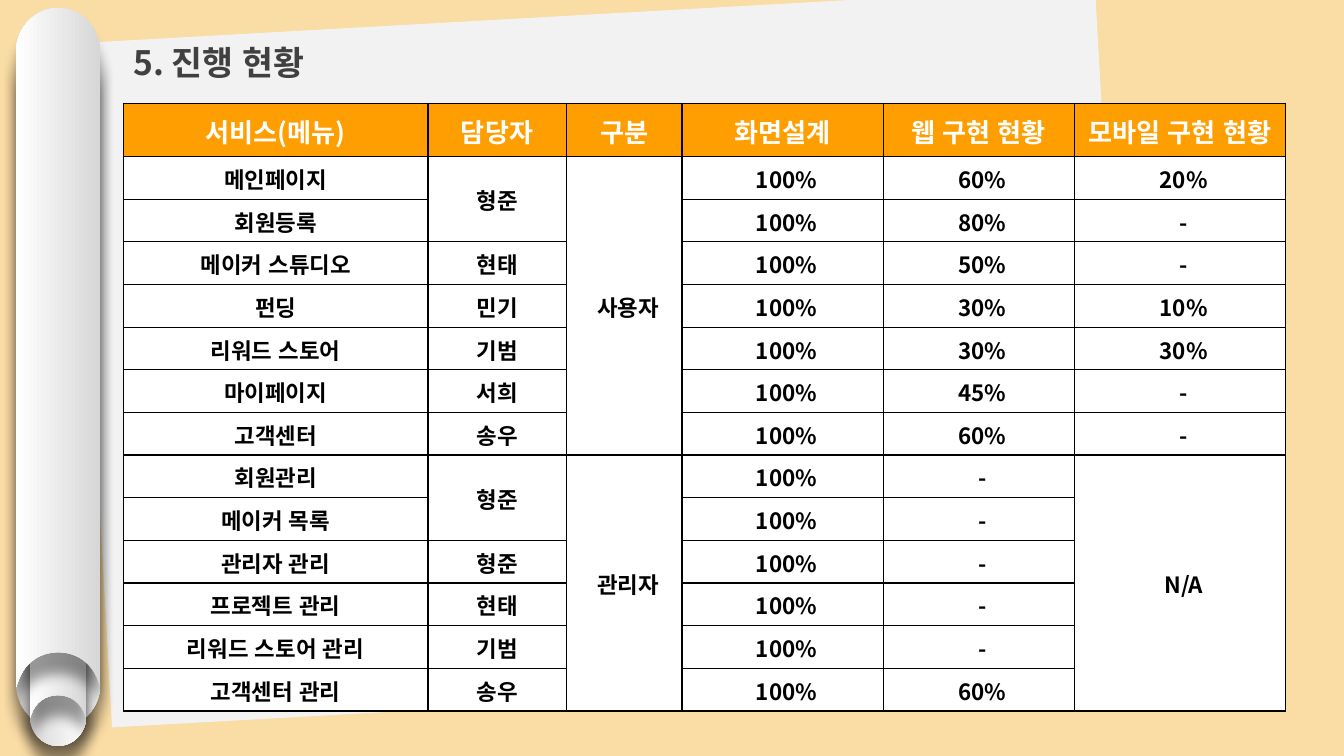
from lxml import etree
from pptx import Presentation
from pptx import util as u
from pptx.dml.color import RGBColor
from pptx.enum import lang, shapes, text
from pptx.oxml import ns

FONT = "Noto Sans CJK KR"
COLORS = {
    "background": "FADCA5",
    "paper": "F2F2F2",
    "scroll_dark": "D7D7D7",
    "scroll_light": "FFFFFF",
    "title": "404040",
    "header": "FF9E00",
    "header_text": "FFFFFF",
    "cell": "FFFFFF",
    "black": "000000",
}
COLUMN_WIDTHS = [5.76, 2.61, 2.19, 3.8, 3.61, 3.99]
HEADER_HEIGHT = 1.01
TABLE_HEIGHT = 11.5
HEADERS = ["서비스(메뉴)", "담당자", "구분", "화면설계", "웹 구현 현황", "모바일 구현 현황"]
PROGRESS = [
    ["메인페이지", "형준", "사용자", "100%", "60%", "20%"],
    ["회원등록", None, None, "100%", "80%", "-"],
    ["메이커 스튜디오", "현태", None, "100%", "50%", "-"],
    ["펀딩", "민기", None, "100%", "30%", "10%"],
    ["리워드 스토어", "기범", None, "100%", "30%", "30%"],
    ["마이페이지", "서희", None, "100%", "45%", "-"],
    ["고객센터", "송우", None, "100%", "60%", "-"],
    ["회원관리", "형준", "관리자", "100%", "-", "N/A"],
    ["메이커 목록", None, None, "100%", "-", None],
    ["관리자 관리", "형준", None, "100%", "-", None],
    ["프로젝트 관리", "현태", None, "100%", "-", None],
    ["리워드 스토어 관리", "기범", None, "100%", "-", None],
    ["고객센터 관리", "송우", None, "100%", "60%", None],
]


def rgb(name):
    return RGBColor.from_string(COLORS[name])


def set_attributes(target, values):
    for name, value in values.items():
        setattr(target, name, value)


def fill_solid(target, color):
    target.fill.solid()
    target.fill.fore_color.rgb = rgb(color)


def write_text(p, content, size, color):
    r = p.add_run()
    r.text = content
    set_attributes(r.font, {
        "name": FONT, "size": u.Pt(size), "bold": True,
        "language_id": lang.MSO_LANGUAGE_ID.KOREAN,
    })
    r.font.color.rgb = rgb(color)
    ea = etree.SubElement(r.font._element, ns.qn("a:ea"))
    ea.set("typeface", FONT)


def add_paper(s):
    sp = s.shapes.add_shape(
        shapes.MSO_SHAPE.RECTANGLE, u.Cm(1.74), u.Cm(0.27), u.Cm(19.33), u.Cm(12.95)
    )
    sp.rotation = 356.8
    sp.shadow.inherit = False
    fill_solid(sp, "paper")
    sp.line.fill.background()


def add_shadow(sp):
    sp.shadow.inherit = False
    effects = sp._element.spPr.find(ns.qn("a:effectLst"))
    shadow = etree.SubElement(effects, ns.qn("a:outerShdw"))
    values = {"blurRad": u.Pt(7), "dist": u.Pt(11), "dir": 90 * 60000, "rotWithShape": 0}
    for name, value in values.items():
        shadow.set(name, str(int(value)))
    color = etree.SubElement(shadow, ns.qn("a:srgbClr"), val=COLORS["black"])
    etree.SubElement(color, ns.qn("a:alpha"), val="40000")


def bend_segments(sp, curves):
    outline = sp._element.spPr.find(".//" + ns.qn("a:path"))
    segments = outline.findall(ns.qn("a:lnTo"))
    for index, controls in curves.items():
        segment = segments[index]
        curve = etree.Element(ns.qn("a:cubicBezTo"))
        for x, y in controls:
            etree.SubElement(curve, ns.qn("a:pt"), x=str(u.Cm(x)), y=str(u.Cm(y)))
        curve.append(segment[0])
        outline.replace(segment, curve)


def add_scroll_piece(group, left, top, width, height, rotation):
    mid = width / 2
    cap = 0.53 * width
    dip = height - 0.42 * width
    lip = height - 0.08 * width
    edge = 0.03 * width
    near, far = 0.22 * width, 0.78 * width
    shoulder = 0.45 * cap
    cheek = dip + 0.13 * width
    anchors = [
        (mid, 0), (width, cap), (width, height), (width - edge, lip),
        (mid, dip), (edge, lip), (0, height), (0, cap), (mid, 0),
    ]
    points = [(u.Cm(left + x), u.Cm(top + y)) for x, y in anchors]
    builder = group.shapes.build_freeform(*points[0])
    builder.add_line_segments(points[1:], close=True)
    sp = builder.convert_to_shape()
    bend_segments(sp, {
        0: [(far, 0), (width, shoulder)],
        3: [(width - 0.1 * width, cheek), (0.72 * width, dip)],
        4: [(0.28 * width, dip), (0.1 * width, cheek)],
        7: [(0, shoulder), (near, 0)],
    })
    sp.rotation = rotation
    sp.fill.gradient()
    sp.fill.gradient_angle = 180
    for stop, color in zip(sp.fill.gradient_stops, ["scroll_dark", "scroll_light"]):
        stop.color.rgb = rgb(color)
    sp.line.fill.background()
    add_shadow(sp)


def add_scroll(s):
    group = s.shapes.add_group_shape()
    wide = {"left": 0.3, "width": 1.6, "height": 12.85}
    narrow = {"left": 0.56, "width": 1.07, "height": 8.61}
    for piece, top, rotation in [
        (wide, 0.91, 180),
        (narrow, 5.49, 180),
        (narrow, 4.98, 0),
        (wide, 0.15, 0),
    ]:
        add_scroll_piece(group, top=top, rotation=rotation, **piece)


def add_title(s, content):
    sp = s.shapes.title
    s.shapes.element.append(sp.element)
    set_attributes(sp, {
        "left": u.Cm(2.34), "top": u.Cm(0.32), "width": u.Cm(18.31), "height": u.Cm(1.24),
    })
    tf = sp.text_frame
    set_attributes(tf, {
        "margin_left": u.Cm(0.18), "margin_right": u.Cm(0.18),
        "margin_top": u.Cm(0.1), "margin_bottom": u.Cm(0.1),
        "word_wrap": True,
        "vertical_anchor": text.MSO_ANCHOR.TOP,
        "auto_size": text.MSO_AUTO_SIZE.SHAPE_TO_FIT_TEXT,
    })
    p = tf.paragraphs[0]
    set_attributes(p, {"alignment": text.PP_ALIGN.LEFT, "line_spacing": 1.5})
    write_text(p, content, 18, "title")


def add_borders(cell):
    properties = cell._tc.get_or_add_tcPr()
    for i, side in enumerate(["lnL", "lnR", "lnT", "lnB"]):
        line = etree.Element(ns.qn(f"a:{side}"), w=str(u.Pt(0.75)))
        fill = etree.SubElement(line, ns.qn("a:solidFill"))
        etree.SubElement(fill, ns.qn("a:srgbClr"), val=COLORS["black"])
        properties.insert(i, line)


def format_cell(cell, content, header, inset):
    set_attributes(cell, {
        "vertical_anchor": text.MSO_ANCHOR.MIDDLE,
        "margin_left": u.Cm(inset), "margin_right": u.Cm(0.03),
        "margin_top": u.Cm(0.03), "margin_bottom": 0,
    })
    fill_solid(cell, "header" if header else "cell")
    add_borders(cell)
    if content:
        p = cell.text_frame.paragraphs[0]
        p.alignment = text.PP_ALIGN.CENTER
        write_text(p, content, 14 if header else 12, "header_text" if header else "black")


def merge_down(table, rows):
    for c in range(len(HEADERS)):
        starts = [r for r, row in enumerate(rows) if row[c]] + [len(rows)]
        for first, following in zip(starts, starts[1:]):
            if following - first > 1:
                table.cell(first, c).merge(table.cell(following - 1, c))


def add_progress_table(s):
    rows = [HEADERS] + PROGRESS
    table = s.shapes.add_table(
        len(rows), len(HEADERS), u.Cm(2.33), u.Cm(1.95),
        u.Cm(sum(COLUMN_WIDTHS)), u.Cm(TABLE_HEIGHT),
    ).table
    for column, width in zip(table.columns, COLUMN_WIDTHS):
        column.width = u.Cm(width)
    row_height = (TABLE_HEIGHT - HEADER_HEIGHT) / len(PROGRESS)
    for r, row in enumerate(rows):
        table.rows[r].height = u.Cm(row_height if r else HEADER_HEIGHT)
        for c, content in enumerate(row):
            inset = 0.18 if r and c > 1 else 0.03
            format_cell(table.cell(r, c), content, r == 0, inset)
    merge_down(table, rows)


def main():
    prs = Presentation()
    set_attributes(prs, {"slide_width": u.Cm(25.4), "slide_height": u.Cm(14.29)})
    s = prs.slides.add_slide(prs.slide_layouts[5])
    fill_solid(s.background, "background")
    add_paper(s)
    add_scroll(s)
    add_title(s, "5. 진행 현황")
    add_progress_table(s)
    prs.save("out.pptx")


if __name__ == "__main__":
    main()
